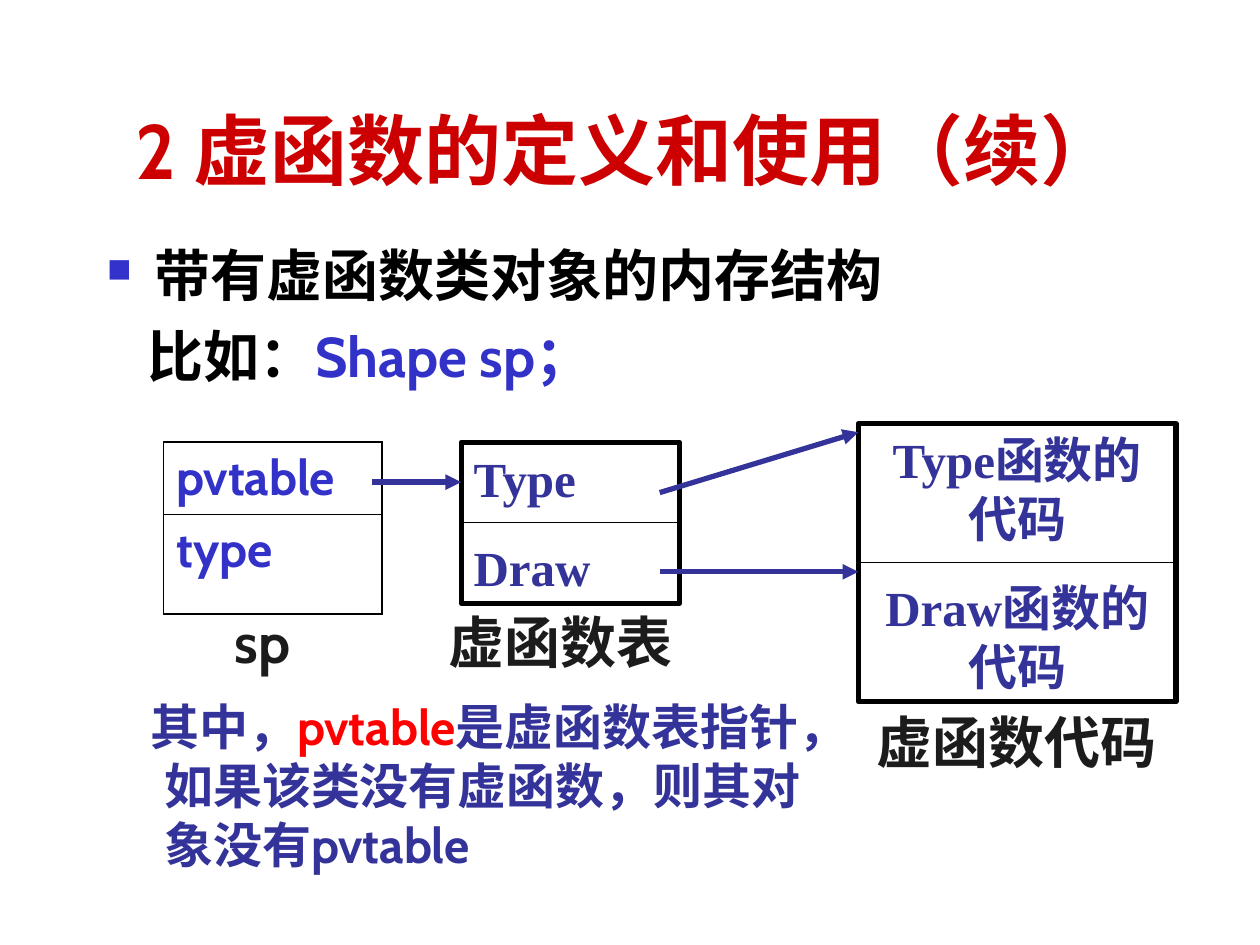
from dataclasses import dataclass
from typing import Any, Optional

from lxml import etree
from pptx import Presentation
from pptx.dml.color import RGBColor
from pptx.enum.shapes import MSO_CONNECTOR, MSO_SHAPE
from pptx.enum.text import MSO_ANCHOR, PP_ALIGN
from pptx.oxml.ns import qn
from pptx.util import Pt

STRAIGHT = MSO_CONNECTOR.STRAIGHT
RECTANGLE = MSO_SHAPE.RECTANGLE
TOP, BOTTOM = MSO_ANCHOR.TOP, MSO_ANCHOR.BOTTOM
LEFT, CENTER, JUSTIFY = PP_ALIGN.LEFT, PP_ALIGN.CENTER, PP_ALIGN.JUSTIFY
LEFT_SIDE, RIGHT_SIDE = 1, 3

SANS, SERIF = "Cabin", "Times New Roman"
BLACK, CHARCOAL, NAVY, BLUE = "000000", "1C1C1C", "333399", "3232C8"
BULLET_BLUE, TITLE_RED, RED = "3333CC", "CC0000", "FF0000"


@dataclass(frozen=True)
class Box:
    left: float
    top: float
    width: float
    height: float

    def lengths(self) -> list:
        return [Pt(v) for v in (self.left, self.top, self.width, self.height)]


@dataclass(frozen=True)
class Run:
    text: str
    color: str


@dataclass(frozen=True)
class Para:
    runs: tuple[Run, ...]
    size: float
    before: float = 0
    font: str = SANS
    align: Any = LEFT
    margin: float = 0
    indent: float = 0
    bullet: Optional[str] = None


@dataclass(frozen=True)
class CodeBlock:
    box: Box
    entries: tuple[str, ...]
    align: Any


@dataclass(frozen=True)
class Arrow:
    start: tuple[float, float]
    end: tuple[float, float]


def rgb(color: str) -> RGBColor:
    return RGBColor.from_string(color)


def add_xml(parent: Any, tag: str, **attributes: str) -> Any:
    return etree.SubElement(parent, qn(tag), attributes)


def write(frame: Any, paras: tuple[Para, ...], anchor: Any = TOP) -> None:
    frame.word_wrap = True
    frame.vertical_anchor = anchor
    for index, para in enumerate(paras):
        line = frame.paragraphs[0] if index == 0 else frame.add_paragraph()
        line.alignment = para.align
        line.space_before = Pt(para.before)
        props = line._p.get_or_add_pPr()
        props.set("marL", str(Pt(para.margin)))
        props.set("indent", str(Pt(para.indent)))
        if para.bullet:
            add_xml(add_xml(props, "a:buClr"), "a:srgbClr", val=BULLET_BLUE)
            add_xml(props, "a:buSzPct", val="60000")
            add_xml(props, "a:buChar", char=para.bullet)
        for run in para.runs:
            piece = line.add_run()
            piece.text = run.text
            style = {"name": para.font, "size": Pt(para.size), "bold": True}
            for key, value in style.items():
                setattr(piece.font, key, value)
            piece.font.color.rgb = rgb(run.color)


def add_text(slide: Any, box: Box, *paras: Para, anchor: Any = TOP) -> None:
    write(slide.shapes.add_textbox(*box.lengths()).text_frame, paras, anchor)


def add_line(slide: Any, start: tuple, end: tuple, color: str, width: float) -> Any:
    line = slide.shapes.add_connector(STRAIGHT, *(Pt(v) for v in start + end))
    line.line.color.rgb = rgb(color)
    line.line.width = Pt(width)
    add_xml(line._element.spPr, "a:effectLst")
    return line


def add_arrow(slide: Any, arrow: Arrow) -> None:
    line = add_line(slide, arrow.start, arrow.end, NAVY, 3)
    add_xml(line.line._get_or_add_ln(), "a:tailEnd", type="triangle")


def add_code_block(slide: Any, block: CodeBlock) -> None:
    """Draw a framed block with a divider across its middle."""
    frame = slide.shapes.add_shape(RECTANGLE, *block.box.lengths())
    frame.shadow.inherit = False
    frame.fill.background()
    frame.line.color.rgb = rgb(BLACK)
    frame.line.width = Pt(3)
    write(frame.text_frame, tuple(
        Para((Run(entry, NAVY),), 28, 17.5, SERIF, block.align)
        for entry in block.entries))
    middle = block.box.top + block.box.height / 2
    divider = add_line(slide, (block.box.left, middle),
                       (block.box.left + block.box.width, middle), BLACK, 0.75)
    divider.begin_connect(frame, LEFT_SIDE)
    divider.end_connect(frame, RIGHT_SIDE)


def set_borders(cell: Any, widths: dict[str, float]) -> None:
    props = cell._tc.get_or_add_tcPr()
    for position, (side, width) in enumerate(widths.items()):
        border = etree.Element(qn(f"a:{side}"), {"w": str(Pt(width))})
        add_xml(add_xml(border, "a:solidFill"), "a:srgbClr", val=BLACK)
        props.insert(position, border)


def add_object_table(slide: Any, box: Box, members: dict[str, float]) -> None:
    """Draw the object's members, given as name and row height."""
    table = slide.shapes.add_table(len(members), 1, *box.lengths()).table
    table.first_row = table.horz_banding = False
    last = len(members) - 1
    for index, (member, height) in enumerate(members.items()):
        table.rows[index].height = Pt(height)
        cell = table.cell(index, 0)
        cell.fill.background()
        set_borders(cell, {"lnL": 1.08, "lnR": 1.08,
                           "lnT": 1.08 if index == 0 else 0.45,
                           "lnB": 1.08 if index == last else 0.45})
        write(cell.text_frame, (Para((Run(member, BLUE),), 28, 7),))


def main() -> None:
    deck = Presentation()
    deck.slide_width, deck.slide_height = Pt(720), Pt(540)
    slide = deck.slides.add_slide(deck.slide_layouts[6])

    add_text(slide, Box(70.5, 43, 613.5, 72),
             Para((Run("2 虚函数的定义和使用（续）", TITLE_RED),), 44), anchor=BOTTOM)
    add_text(slide, Box(54, 134, 651, 349),
             Para((Run("带有虚函数类对象的内存结构", BLACK),), 32, 8,
                  margin=27, indent=-27, bullet="■"),
             Para((Run("比如：", BLACK), Run("Shape sp；", BLUE)), 32, 8, margin=23))

    add_object_table(slide, Box(93.5, 252.75, 124.75, 98),
                     {"pvtable": 41, "type": 57})

    virtual_table = Box(263.5, 252.75, 124.75, 92)
    function_code = Box(490.5, 242, 181.5, 159)
    blocks = (CodeBlock(virtual_table, ("Type", "Draw"), JUSTIFY),
              CodeBlock(function_code, ("Type函数的代码", "Draw函数的代码"), CENTER))
    for block in blocks:
        add_code_block(slide, block)

    arrows = (Arrow((212.5, 275.5), (virtual_table.left, 275.5)),
              Arrow((377, 281.5), (function_code.left, 247)),
              Arrow((377, 326.75), (function_code.left, 326.75)))
    for arrow in arrows:
        add_arrow(slide, arrow)

    add_text(slide, Box(59.75, 394.5, 420, 108),
             Para((Run("其中，", NAVY), Run("pvtable", RED),
                   Run("是虚函数表指针，如果该类没有虚函数，则其对象没有pvtable", NAVY)),
                  28, 17.5, margin=27, indent=-8))

    captions = {"sp": Box(121.5, 343.5, 57, 46),
                "虚函数表": Box(235.5, 343.5, 170, 46),
                "虚函数代码": Box(484.5, 400.5, 193, 46)}
    for caption, box in captions.items():
        add_text(slide, box, Para((Run(caption, CHARCOAL),), 32, 20, align=CENTER))

    deck.save("out.pptx")


if __name__ == "__main__":
    main()
